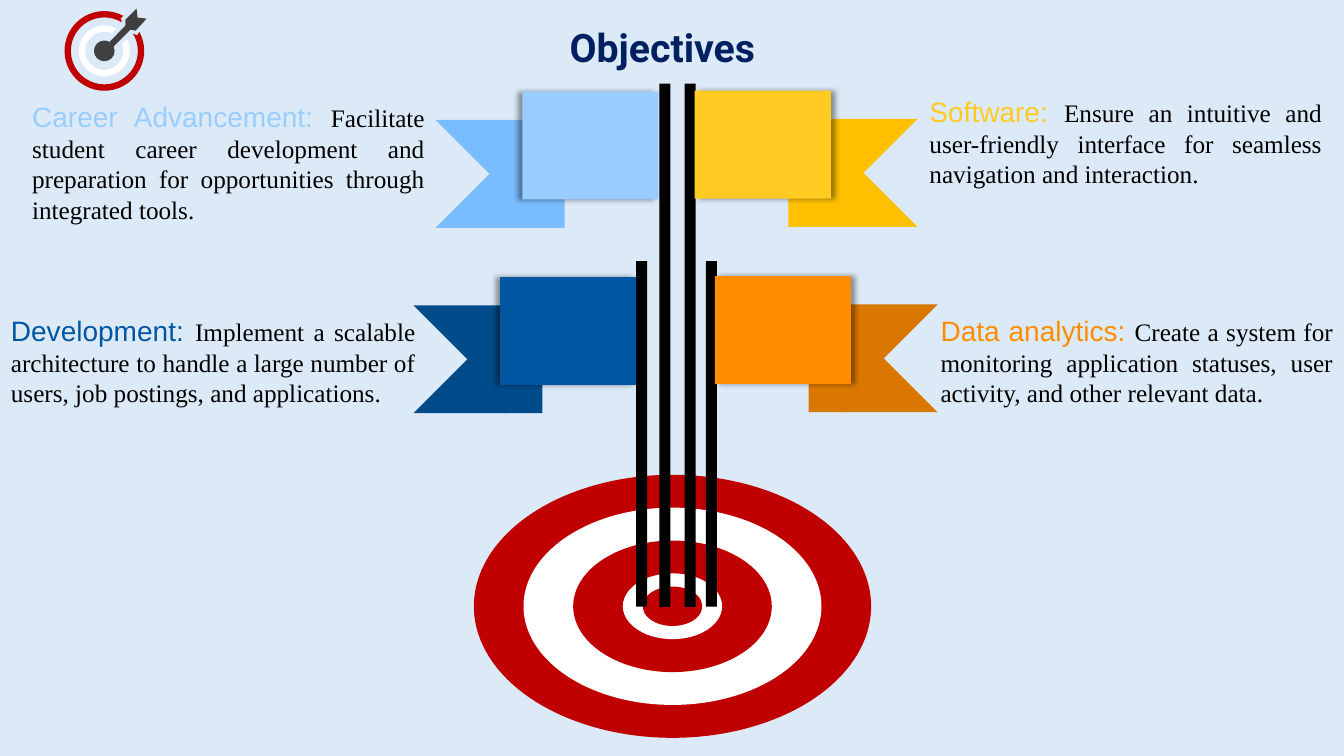
from math import cos, radians, sin, tan

from lxml.etree import SubElement
from pptx import Presentation
from pptx.dml.color import RGBColor
from pptx.enum.shapes import MSO_SHAPE as Preset
from pptx.enum.text import MSO_ANCHOR as Anchor, MSO_AUTO_SIZE as AutoSize, PP_ALIGN as Align
from pptx.oxml.ns import qn
from pptx.util import Inches, Pt

RED = "C00000"
WHITE = "FFFFFF"
BLACK = "000000"
CHARCOAL = "404040"
SLIDE_WIDTH = 13.33

FLAGS = [
    (4.1, 2.75, False, "0056A0", "004C8A"),
    (6.89, 0.9, True, "FFCA21", "FFC000"),
    (4.32, 0.91, False, "99CCFF", "79BCFF"),
    (7.09, 2.74, True, "FF8C00", "DA7700"),
]
POLES = [(6.31, 2.59), (7, 2.59), (6.54, 0.83), (6.79, 0.83)]
OBJECTIVES = [
    ((9.12, 0.89, 4.09, 1.04), "Software: ", "FFCA21",
     "Ensure an intuitive and user-friendly interface for seamless navigation and interaction."),
    ((0.22, 0.94, 4.09, 1.35), "Career Advancement: ", "99CCFF",
     "Facilitate student career development and preparation for opportunities "
     "through integrated tools."),
    ((0.01, 3.06, 4.21, 1.35), "Development: ", "0056A0",
     "Implement a scalable architecture to handle a large number of users, "
     "job postings, and applications."),
    ((9.23, 3.06, 4.09, 1.04), "Data analytics: ", "FF8C00",
     "Create a system for monitoring application statuses, user activity, "
     "and other relevant data."),
]


def paint(fill, color):
    fill.solid()
    fill.fore_color.rgb = RGBColor.from_string(color)


def finish(shape, color):
    shape.shadow.inherit = False
    paint(shape.fill, color)
    shape.line.fill.background()


def add_preset(parent, preset, box, color, mirrored=False):
    shape = parent.shapes.add_shape(preset, *map(Inches, box))
    finish(shape, color)
    if mirrored:
        shape._element.spPr.find(qn("a:xfrm")).set("flipH", "1")
    return shape


def add_shadow(shape, degrees):
    effects = shape._element.spPr.find(qn("a:effectLst"))
    shadow = SubElement(effects, qn("a:outerShdw"), blurRad=str(Pt(4)), dist=str(Pt(3)),
                        dir=str(degrees * 60000), algn="ctr", rotWithShape="0")
    tint = SubElement(shadow, qn("a:srgbClr"), val=BLACK)
    SubElement(tint, qn("a:alpha"), val="40000")


def add_span(para, text, font, size, color, bold=False):
    span = para.add_run()
    span.text = text
    span.font.name = font
    span.font.size = Pt(size)
    span.font.bold = bold
    span.font.color.rgb = RGBColor.from_string(color)


def add_title(page, box):
    title = page.shapes.title
    title.left, title.top, title.width, title.height = map(Inches, box)
    frame = title.text_frame
    frame.word_wrap = True
    frame.auto_size = AutoSize.NONE
    frame.vertical_anchor = Anchor.TOP
    para = frame.paragraphs[0]
    para.alignment = Align.JUSTIFY
    add_span(para, "Objectives", "Roboto", 28, "002060", True)


def add_target(page, box):
    left, top, width, height = box
    group = page.shapes.add_group_shape()
    for index, scale in enumerate((1, 0.75, 0.5, 0.25, 0.15)):
        inset = (1 - scale) / 2
        ring = (left + width * inset, top + height * inset, width * scale, height * scale)
        add_preset(group, Preset.OVAL, ring, WHITE if index % 2 else RED)


def add_poles(page, bottom):
    for left, top in POLES:
        add_preset(page, Preset.RECTANGLE, (left, top, 0.11, bottom - top), BLACK)


def add_flag(page, left, top, points_right, face, tail):
    group = page.shapes.add_group_shape()

    def place(offset, drop, width, height):
        if points_right:
            offset = 2.21 - offset - width
        return left + offset, top + drop, width, height

    add_preset(group, Preset.CHEVRON, place(0, 0.28, 1.45, 1.07), tail, points_right)
    add_preset(group, Preset.RIGHT_TRIANGLE, place(0.89, 0.79, 0.39, 0.56), tail,
               not points_right)
    cloth = add_preset(group, Preset.RECTANGLE, place(0.86, 0, 1.35, 1.07), face)
    add_shadow(cloth, 0 if points_right else 180)


def add_objective(page, box, heading, color, detail):
    frame = page.shapes.add_textbox(*map(Inches, box)).text_frame
    frame.word_wrap = True
    frame.auto_size = AutoSize.SHAPE_TO_FIT_TEXT
    para = frame.paragraphs[0]
    para.alignment = Align.JUSTIFY
    add_span(para, heading, "Arial", 20, color)
    add_span(para, detail, "Times New Roman", 18, BLACK)


def lines(*points):
    return [[point] for point in points]


def arc(radius, start, end):
    stops = [start, 0, 90, 180, 270, end]
    if start > end:
        stops = [start, 270, 180, 90, 0, end]
    segments = lines((radius * cos(radians(start)), radius * sin(radians(start))))
    for first, last in zip(stops, stops[1:]):
        a, b = radians(first), radians(last)
        pull = 4 / 3 * tan((b - a) / 4)
        segments.append([
            (radius * (cos(a) - pull * sin(a)), radius * (sin(a) + pull * cos(a))),
            (radius * (cos(b) + pull * sin(b)), radius * (sin(b) - pull * cos(b))),
            (radius * cos(b), radius * sin(b))])
    return segments


def add_outline(group, center, segments, color):
    points = [(Inches(center[0] + x), Inches(center[1] + y))
              for segment in segments for x, y in segment]
    builder = group.shapes.build_freeform(*points[0])
    builder.add_line_segments(points[1:], close=True)
    shape = builder.convert_to_shape()
    steps = iter(list(shape._element.iter(qn("a:lnTo"))))
    for segment in segments[1:]:
        step = next(steps)
        if len(segment) == 3:
            step.addprevious(curve := step.makeelement(qn("a:cubicBezTo")))
            for straight in (step, next(steps), next(steps)):
                curve.append(straight[0])
                straight.getparent().remove(straight)
    finish(shape, color)


def add_icon(page, left, top, size):
    center = left + size / 2, top + size / 2
    group = page.shapes.add_group_shape()
    arrow = arc(size * 0.13, -25, 300) + lines(
        (0.21, -0.25), (0.21, -0.31), (0.32, -0.42), (0.33, -0.33),
        (0.42, -0.32), (0.31, -0.2), (0.26, -0.21))
    outer = (arc(size * 0.5, -28, 298) + lines((0.18, -0.34), (0.16, -0.32), (0.17, -0.3))
             + arc(size * 0.42, 301, -31) + lines((0.31, -0.16), (0.33, -0.16), (0.34, -0.18)))
    inner = arc(size * 0.32, -27, 299) + arc(size * 0.24, 293, -23)
    for segments, color in ((arrow, CHARCOAL), (outer, RED), (inner, WHITE)):
        add_outline(group, center, segments, color)


def main():
    deck = Presentation()
    deck.slide_width, deck.slide_height = Inches(SLIDE_WIDTH), Inches(7.5)
    page = deck.slides.add_slide(deck.slide_layouts[5])
    paint(page.background.fill, "DCEAF7")
    add_title(page, (5.55, 0.18, 2.23, 0.57))
    add_target(page, (4.7, 4.71, 3.94, 2.61))
    add_poles(page, 6.02)
    for flag in FLAGS:
        add_flag(page, *flag)
    for objective in OBJECTIVES:
        add_objective(page, *objective)
    add_icon(page, 0.64, 0.11, 0.79)
    deck.save("out.pptx")


if __name__ == "__main__":
    main()
